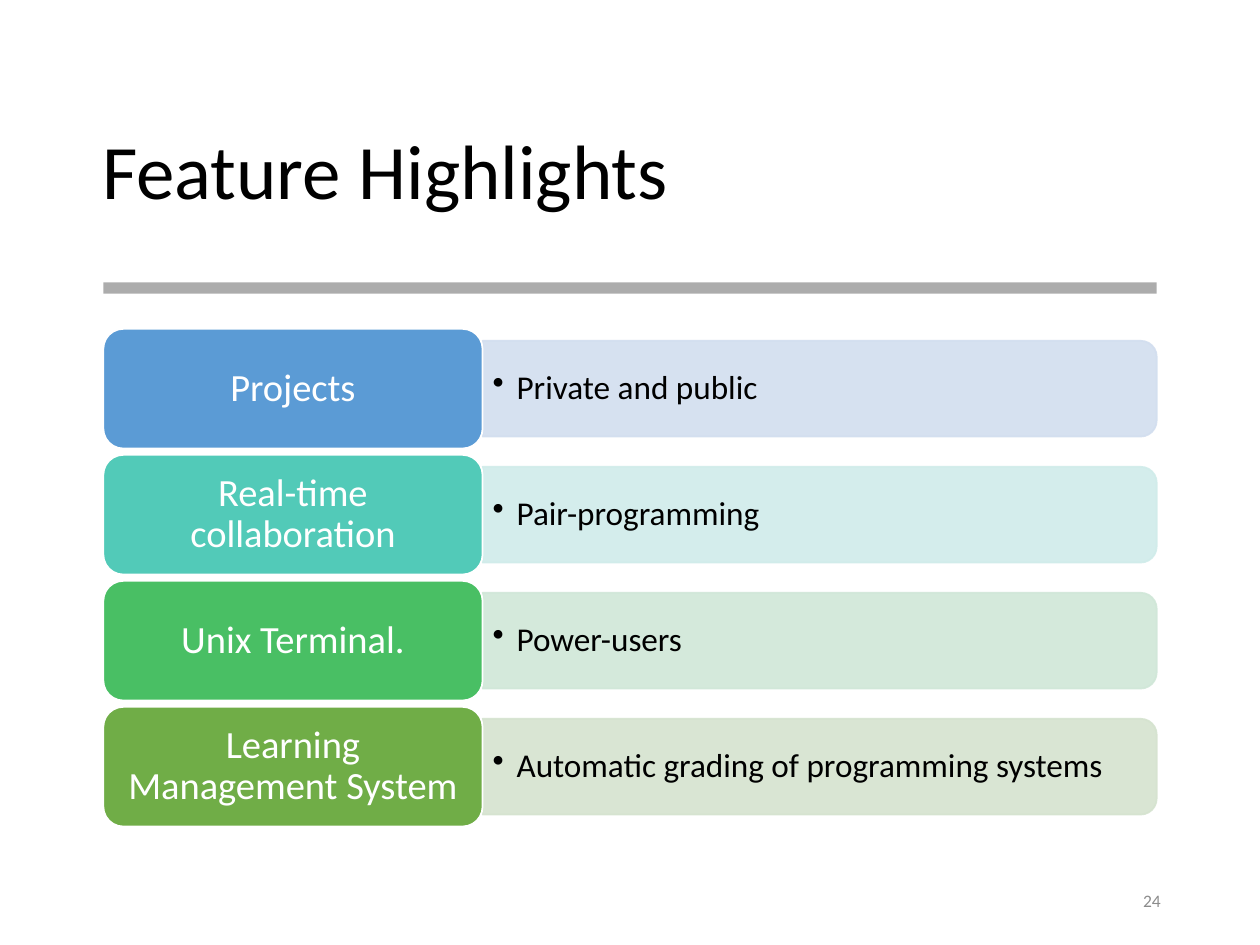
from lxml import etree
from pptx import Presentation
from pptx.dml.color import RGBColor
from pptx.enum.shapes import MSO_SHAPE
from pptx.enum.text import MSO_ANCHOR, PP_ALIGN
from pptx.oxml.ns import qn
from pptx.util import Inches, Pt

RECTANGLE = MSO_SHAPE.RECTANGLE
ROUNDED = MSO_SHAPE.ROUNDED_RECTANGLE
ROUND_TOP = MSO_SHAPE.ROUND_2_SAME_RECTANGLE
LEFT, CENTER, RIGHT = PP_ALIGN.LEFT, PP_ALIGN.CENTER, PP_ALIGN.RIGHT
MIDDLE = MSO_ANCHOR.MIDDLE

THEME = {
    "font": "Calibri",
    "ink": "000000", "paper": "FFFFFF", "rule": "808080", "number": "8C8C8C",
    "title_size": 44, "label_size": 22, "detail_size": 19, "number_size": 10,
}

# label, detail, label colour, panel colour
FEATURES = [
    ("Projects", "Private and public", "5B9BD5", "D2DEEF"),
    ("Real-time collaboration", "Pair-programming", "52CAB8", "D0ECEA"),
    ("Unix Terminal.", "Power-users", "49BF64", "D0E7D8"),
    ("Learning Management System", "Automatic grading of programming systems",
     "70AD47", "D5E3CF"),
]


def write_text(box, text, size, color, align=LEFT, spacing=0.9,
               inset=(0.1, 0.05), bullet_indent=None):
    frame = box.text_frame
    frame.word_wrap = True
    frame.vertical_anchor = MIDDLE
    frame.margin_left = frame.margin_right = Inches(inset[0])
    frame.margin_top = frame.margin_bottom = Inches(inset[1])
    para = frame.paragraphs[0]
    para.alignment = align
    para.line_spacing = spacing
    if bullet_indent:
        properties = para._p.get_or_add_pPr()
        properties.set("marL", str(Inches(bullet_indent)))
        properties.set("indent", str(-Inches(bullet_indent)))
        etree.SubElement(properties, qn("a:buChar"), char="•")
    span = para.add_run()
    span.text = text
    span.font.name = THEME["font"]
    span.font.size = Pt(size)
    span.font.color.rgb = RGBColor.from_string(color)


def add_block(page, kind, left, top, width, height, fill, line=None, opacity=100):
    block = page.shapes.add_shape(kind, Inches(left), Inches(top),
                                  Inches(width), Inches(height))
    block.shadow.inherit = False
    block.fill.solid()
    block.fill.fore_color.rgb = RGBColor.from_string(fill)
    if line:
        block.line.color.rgb = RGBColor.from_string(line)
        block.line.width = Pt(1)
    else:
        block.line.fill.background()
    if opacity < 100:
        for color in block._element.spPr.iter(qn("a:srgbClr")):
            etree.SubElement(color, qn("a:alpha"), val=str(opacity * 1000))
    return block


deck = Presentation()
deck.slide_width, deck.slide_height = Inches(10), Inches(7.5)
page = deck.slides.add_slide(deck.slide_layouts[5])

# Title and rule
title = page.shapes.title
title.left, title.top = Inches(0.71), Inches(0.66)
title.width, title.height = Inches(8.57), Inches(1.45)
write_text(title, "Feature Highlights", THEME["title_size"], THEME["ink"])
add_block(page, RECTANGLE, 0.82, 2.24, 8.36, 0.09, THEME["rule"], opacity=65)

# Slide number
number = page.shapes.add_textbox(Inches(7.06), Inches(6.95), Inches(2.25), Inches(0.4))
write_text(number, "24", THEME["number_size"], THEME["number"], RIGHT, spacing=1)

# Feature rows
ROW_TOP, ROW_STEP = 2.61, 1
LABEL_LEFT, LABEL_WIDTH, LABEL_HEIGHT = 0.82, 3.01, 0.95
PANEL_LEFT, PANEL_WIDTH, PANEL_HEIGHT = LABEL_LEFT + LABEL_WIDTH, 5.35, 0.76

for row, (label, detail, label_color, panel_color) in enumerate(FEATURES):
    top = ROW_TOP + row * ROW_STEP
    middle = top + LABEL_HEIGHT / 2

    # The panel is an upright shape turned about its centre
    panel = add_block(page, ROUND_TOP,
                      PANEL_LEFT + (PANEL_WIDTH - PANEL_HEIGHT) / 2,
                      middle - PANEL_WIDTH / 2, PANEL_HEIGHT, PANEL_WIDTH,
                      panel_color, line=panel_color, opacity=90)
    panel.rotation = 90
    detail_box = page.shapes.add_textbox(Inches(PANEL_LEFT), Inches(middle - 0.345),
                                         Inches(5.31), Inches(0.69))
    write_text(detail_box, detail, THEME["detail_size"], THEME["ink"],
               inset=(0.08, 0.04), bullet_indent=0.19)

    label_box = add_block(page, ROUNDED, LABEL_LEFT, top, LABEL_WIDTH, LABEL_HEIGHT,
                          label_color, line=THEME["paper"])
    write_text(label_box, label, THEME["label_size"], THEME["paper"], CENTER,
               inset=(0.09, 0.05))

deck.save("out.pptx")
